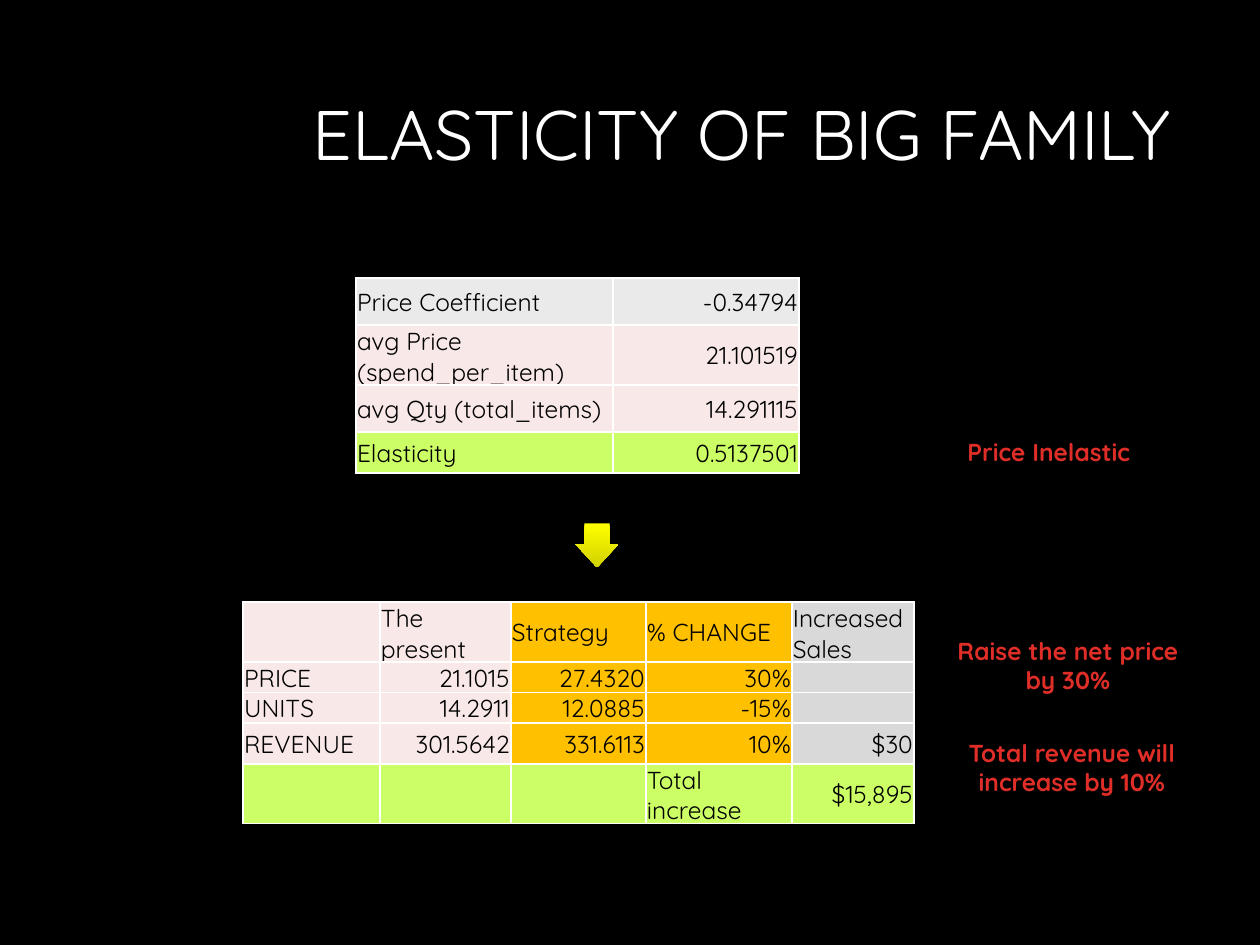
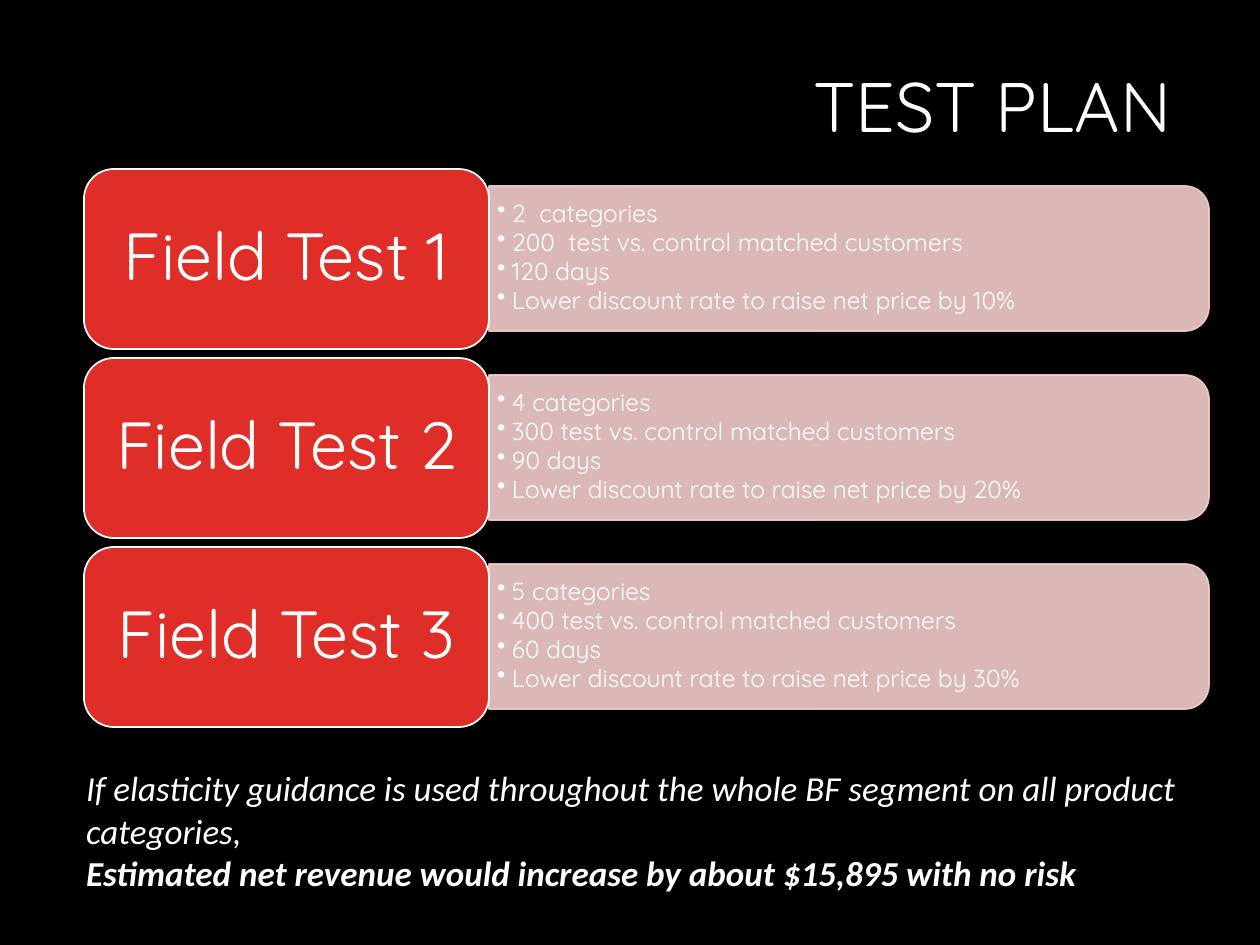
from lxml.etree import SubElement
from pptx import Presentation
from pptx.dml.color import RGBColor
from pptx.enum.shapes import MSO_SHAPE as Shape
from pptx.enum.text import MSO_ANCHOR as Anchor, PP_ALIGN as Align
from pptx.oxml import parse_xml
from pptx.oxml.ns import nsdecls, qn
from pptx.util import Emu, Pt

BLACK = RGBColor(0x00, 0x00, 0x00)
WHITE = RGBColor(0xFF, 0xFF, 0xFF)
RED = RGBColor(0xDF, 0x2E, 0x28)
ROSE = RGBColor(0xF3, 0xCD, 0xCD)
BLUSH = RGBColor(0xF9, 0xE8, 0xE8)
SILVER = RGBColor(0xEA, 0xEA, 0xEA)
GRAY = RGBColor(0xD9, 0xD9, 0xD9)
LIME = RGBColor(0xCC, 0xFF, 0x66)
AMBER = RGBColor(0xFF, 0xC0, 0x00)
YELLOW = RGBColor(0xFF, 0xFF, 0x00)
OLIVE = RGBColor(0xD1, 0xD1, 0x00)


def px(length):
    return Emu(round(length * 914400 / 126))


def set_alpha(color_format, percent):
    for color in color_format._xPr.iter(qn("a:srgbClr")):
        SubElement(color, qn("a:alpha"), val=str(percent * 1000))


class Painter:
    font = "Quicksand"

    def __init__(self):
        self.deck = Presentation()
        self.deck.slide_width, self.deck.slide_height = px(1260), px(945)
        self.page = None

    def new_page(self, title, left, top, width, height):
        self.page = self.deck.slides.add_slide(self.deck.slide_layouts[6])
        fill = self.page.background.fill
        fill.solid()
        fill.fore_color.rgb = BLACK
        self.text([title], left, top, width, height, size=40,
                  align=Align.RIGHT, anchor=Anchor.MIDDLE, spacing=0.9)

    def style(self, para, size, color, bold=False, italic=False, font=None):
        para.font.name = font or self.font
        para.font.size = Pt(size)
        para.font.color.rgb = color
        para.font.bold = bold
        para.font.italic = italic

    def text(self, lines, left, top, width, height, size=14, color=WHITE,
             align=Align.LEFT, anchor=Anchor.TOP, spacing=None, after=None,
             wrap=True, margins=(13, 6), bullets=False, **look):
        box = self.page.shapes.add_textbox(px(left), px(top), px(width), px(height))
        frame = box.text_frame
        frame.word_wrap = wrap
        frame.vertical_anchor = anchor
        frame.margin_left = frame.margin_right = px(margins[0])
        frame.margin_top = frame.margin_bottom = px(margins[1])
        for index, line in enumerate(lines):
            para = frame.add_paragraph() if index else frame.paragraphs[0]
            para.text = line
            para.alignment = align
            para.line_spacing = spacing
            para.space_after = after
            if bullets:
                properties = para._p.get_or_add_pPr()
                properties.set("marL", str(px(15)))
                properties.set("indent", str(px(-15)))
                SubElement(properties, qn("a:buChar"), char="•")
            self.style(para, size, color, **look)
        return frame.paragraphs

    def shape(self, kind, left, top, width, height, fill=None, line=None,
              rotation=0, alpha=None):
        shape = self.page.shapes.add_shape(kind, px(left), px(top), px(width), px(height))
        shape.shadow.inherit = False
        shape.rotation = rotation
        if fill is not None:
            shape.fill.solid()
            shape.fill.fore_color.rgb = fill
        if line is None:
            shape.line.fill.background()
        else:
            shape.line.color.rgb = line
            shape.line.width = Pt(1)
        if alpha:
            for color in shape._element.spPr.iter(qn("a:srgbClr")):
                SubElement(color, qn("a:alpha"), val=str(alpha * 1000))
        return shape

    def down_arrow(self, left, top, width, height):
        arrow = self.shape(Shape.RIGHT_ARROW, left, top, width, height, rotation=90)
        arrow.adjustments[0], arrow.adjustments[1] = 0.59, 0.54
        arrow.fill.gradient()
        arrow.fill.gradient_angle = 0
        for stop, color in zip(arrow.fill.gradient_stops, (YELLOW, OLIVE)):
            stop.color.rgb = color

    def table(self, left, top, widths, heights, rows, fills):
        table = self.page.shapes.add_table(
            len(heights), len(widths), px(left), px(top),
            px(sum(widths)), px(sum(heights))).table
        table.first_row = table.horz_banding = False
        for column, width in zip(table.columns, widths):
            column.width = px(width)
        for row, height in zip(table.rows, heights):
            row.height = px(height)
        for y, (values, colors) in enumerate(zip(rows, fills)):
            for x, (value, color) in enumerate(zip(values, colors)):
                self.cell(table.cell(y, x), value, color)

    def cell(self, cell, value, color):
        cell.fill.solid()
        cell.fill.fore_color.rgb = color
        cell.vertical_anchor = Anchor.MIDDLE
        cell.margin_left = cell.margin_right = cell.margin_top = px(1)
        cell.margin_bottom = 0
        para = cell.text_frame.paragraphs[0]
        para.text = value
        numeric = value[-1:].isdigit() or value.endswith("%")
        para.alignment = Align.RIGHT if numeric else Align.LEFT
        self.style(para, 14, BLACK)
        for index, side in enumerate(("lnL", "lnR", "lnT", "lnB")):
            cell._tc.get_or_add_tcPr().insert(index, parse_xml(
                f'<a:{side} {nsdecls("a")} w="{Pt(1)}"><a:solidFill>'
                f'<a:srgbClr val="{WHITE}"/></a:solidFill></a:{side}>'))

    def note(self, lines, left, top, width, height):
        self.text(lines, left, top, width, height, color=RED,
                  align=Align.CENTER, wrap=False, bold=True)

    def field_test(self, name, details, top):
        left, width, bar_width, bar_height = 84, 405, 720, 145
        bar_left, bar_top = left + width, top + 17
        shift = (bar_width - bar_height) / 2
        self.shape(Shape.ROUND_2_SAME_RECTANGLE, bar_left + shift, bar_top - shift,
                   bar_height, bar_width, ROSE, ROSE, rotation=90, alpha=90)
        self.text(details, bar_left, top + 24, 712, 130, anchor=Anchor.MIDDLE,
                  spacing=0.9, after=Pt(1.4), margins=(8, 4), bullets=True)
        self.shape(Shape.ROUNDED_RECTANGLE, left, top, width, 180, RED, WHITE)
        self.text([name], left + 9, top + 9, width - 18, 162, size=38,
                  align=Align.CENTER, anchor=Anchor.MIDDLE, spacing=0.9,
                  margins=(20, 10))


def elasticity_page(painter):
    painter.new_page("ELASTICITY OF BIG FAMILY", 226, 55, 958, 166)
    painter.table(356, 278, [257, 186], [47, 60, 47, 41], [
        ["Price Coefficient", "-0.34794"],
        ["avg Price (spend_per_item)", "21.101519"],
        ["avg Qty (total_items)", "14.291115"],
        ["Elasticity", "0.5137501"],
    ], [[color] * 2 for color in (SILVER, BLUSH, BLUSH, LIME)])
    painter.table(243, 602, [137, 131, 135, 146, 122], [59, 30, 30, 41, 39], [
        ["", "The present", "Strategy", "% CHANGE", "Increased Sales"],
        ["PRICE", "21.1015", "27.4320", "30%", ""],
        ["UNITS", "14.2911", "12.0885", "-15%", ""],
        ["REVENUE", "301.5642", "331.6113", "10%", "$30"],
        ["", "", "", "Total increase", "$15,895"],
    ], [[BLUSH, BLUSH, AMBER, AMBER, GRAY]] * 4 + [[LIME] * 5])
    painter.note(["Price Inelastic"], 953, 431, 192, 43)
    painter.note(["Raise the net price", "by 30%"], 940, 630, 256, 72)
    painter.note(["Total revenue will", "increase by 10%"], 953, 732, 238, 72)
    painter.down_arrow(575, 524, 44, 43)


def test_plan_page(painter):
    painter.new_page("TEST PLAN", 306, 21, 878, 178)
    tests = [
        ("2  categories", "200  test", 120),
        ("4 categories", "300 test", 90),
        ("5 categories", "400 test", 60),
    ]
    for index, (categories, sample, days) in enumerate(tests):
        number = index + 1
        painter.field_test(f"Field Test {number}", [
            categories,
            f"{sample} vs. control matched customers",
            f"{days} days",
            f"Lower discount rate to raise net price by {number * 10}%",
        ], 169 + index * 189)
    closing = painter.text([
        "If elasticity guidance is used throughout the whole BF segment "
        "on all product categories,",
        "Estimated net revenue would increase by about $15,895 with no risk",
    ], 73, 761, 1166, 140, size=20, italic=True, font="Calibri")
    closing[1].font.bold = True


def main():
    painter = Painter()
    elasticity_page(painter)
    test_plan_page(painter)
    painter.deck.save("out.pptx")


if __name__ == "__main__":
    main()
